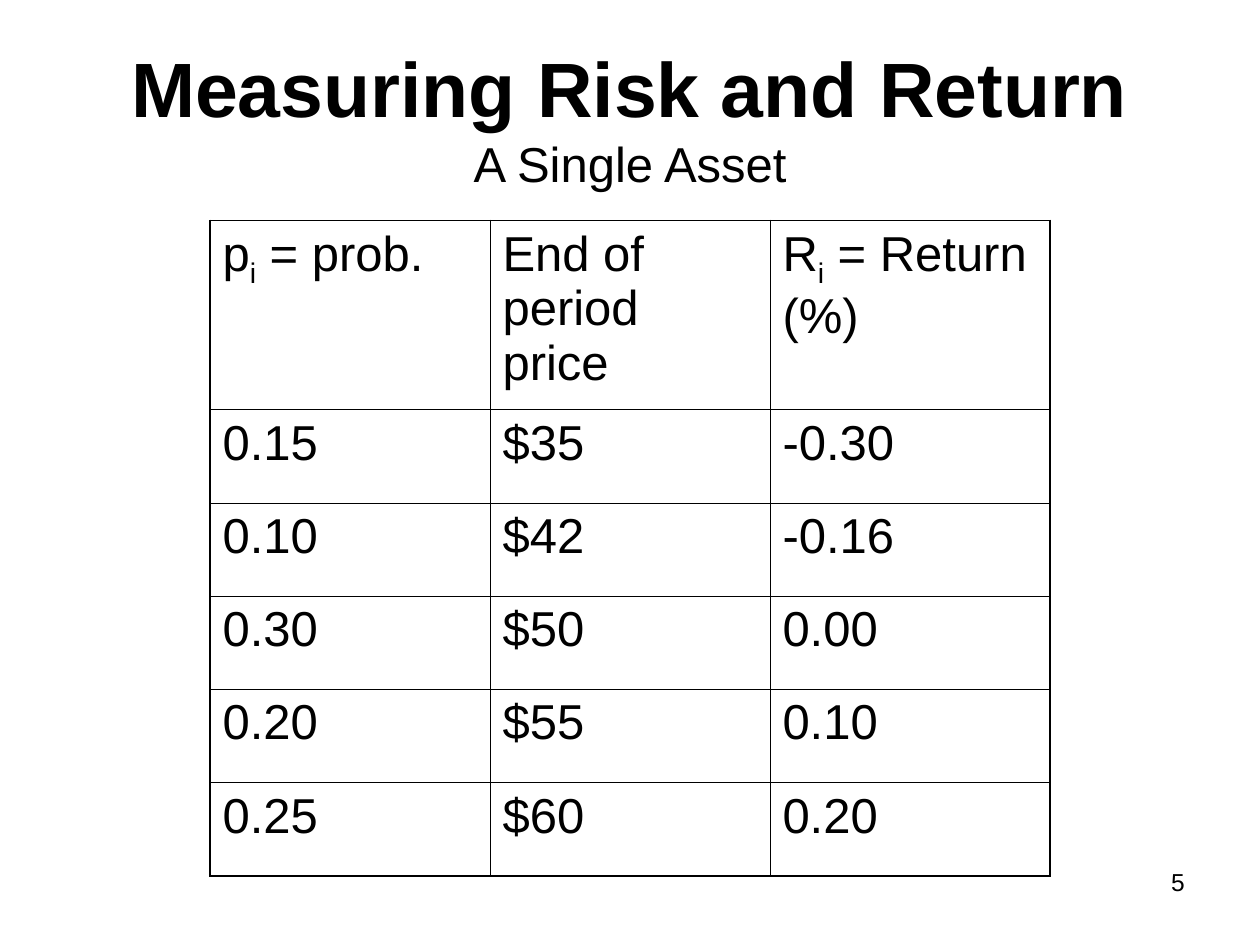
"""Build the slide on measuring risk and return of a single asset."""
from dataclasses import dataclass

from lxml import etree
from pptx import Presentation
from pptx.dml.color import RGBColor
from pptx.enum.text import MSO_ANCHOR, MSO_AUTO_SIZE, PP_ALIGN
from pptx.oxml.ns import qn
from pptx.util import Pt

BLACK = RGBColor(0, 0, 0)
CENTER, RIGHT = PP_ALIGN.CENTER, PP_ALIGN.RIGHT
MIDDLE = MSO_ANCHOR.MIDDLE
NO_AUTOFIT = MSO_AUTO_SIZE.NONE
FONT = "Arial"
THICK, THIN = Pt(1.08), Pt(0.45)
COLUMN_WIDTH = Pt(160)
TABLE_HEIGHT, HEADER_HEIGHT = 374.4, 108


@dataclass
class Piece:
    text: str
    size: float = 28
    bold: bool = False
    baseline: int = 0


ROWS = [
    [[Piece("p"), Piece("i", baseline=-25000), Piece(" = prob.")],
     [Piece("End of period price")],
     [Piece("R"), Piece("i", baseline=-25000), Piece(" = Return (%)")]],
] + [
    [[Piece(value)] for value in outcome]
    for outcome in (
        ("0.15", "$35", "-0.30"),
        ("0.10", "$42", "-0.16"),
        ("0.30", "$50", "0.00"),
        ("0.20", "$55", "0.10"),
        ("0.25", "$60", "0.20"),
    )
]


def write(paragraph, pieces: list[Piece]) -> None:
    """Add formatted runs to a paragraph."""
    for piece in pieces:
        run = paragraph.add_run()
        run.text = piece.text
        formats = {"name": FONT, "size": Pt(piece.size), "bold": piece.bold}
        for attribute, value in formats.items():
            setattr(run.font, attribute, value)
        run.font.color.rgb = BLACK
        if piece.baseline:
            run.font._element.set("baseline", str(piece.baseline))


def add_borders(cell, widths: dict[str, int]) -> None:
    """Draw the sides of a cell with the given line widths."""
    properties = cell._tc.get_or_add_tcPr()
    for side, width in widths.items():
        line = etree.SubElement(properties, qn(f"a:{side}"), w=str(width))
        fill = etree.SubElement(line, qn("a:solidFill"))
        etree.SubElement(fill, qn("a:srgbClr"), val=str(BLACK))


def add_returns_table(slide) -> None:
    """Add the table of probabilities, prices and returns."""
    last_row, last_column = len(ROWS) - 1, len(ROWS[0]) - 1
    table = slide.shapes.add_table(
        len(ROWS), len(ROWS[0]), Pt(120), Pt(126),
        COLUMN_WIDTH * len(ROWS[0]), Pt(TABLE_HEIGHT)).table
    table.first_row = table.horz_banding = False
    for column in table.columns:
        column.width = COLUMN_WIDTH
    for r, contents in enumerate(ROWS):
        outcome_height = (TABLE_HEIGHT - HEADER_HEIGHT) / last_row
        table.rows[r].height = Pt(outcome_height if r else HEADER_HEIGHT)
        for c, pieces in enumerate(contents):
            cell = table.cell(r, c)
            paragraph = cell.text_frame.paragraphs[0]
            paragraph.space_before = Pt(7)
            write(paragraph, pieces)
            add_borders(cell, {
                "lnL": THICK if c == 0 else THIN,
                "lnR": THICK if c == last_column else THIN,
                "lnT": THICK if r == 0 else THIN,
                "lnB": THICK if r == last_row else THIN,
            })
            cell.fill.background()


def add_title(slide) -> None:
    """Fill the title placeholder with the heading and its subtitle."""
    title = slide.shapes.title
    place = {"left": 36, "top": 21.6, "width": 648, "height": 90}
    for attribute, value in place.items():
        setattr(title, attribute, Pt(value))
    frame = title.text_frame
    frame.auto_size = NO_AUTOFIT
    frame.vertical_anchor = MIDDLE
    heading = frame.paragraphs[0]
    heading.alignment = CENTER
    write(heading, [Piece("Measuring Risk and Return", 44, True)])
    heading.add_line_break()
    write(heading, [Piece("A Single Asset")])


def add_page_number(slide) -> None:
    """Add the page number at the lower right."""
    number = slide.shapes.add_textbox(Pt(516), Pt(492), Pt(168), Pt(37.5))
    number.text_frame.word_wrap = True
    paragraph = number.text_frame.paragraphs[0]
    paragraph.alignment = RIGHT
    write(paragraph, [Piece("5", 14)])


def main() -> None:
    """Build and save the presentation."""
    deck = Presentation()
    deck.slide_width, deck.slide_height = Pt(720), Pt(540)
    slide = deck.slides.add_slide(deck.slide_layouts[5])
    add_title(slide)
    add_page_number(slide)
    add_returns_table(slide)
    deck.save("out.pptx")


if __name__ == "__main__":
    main()
